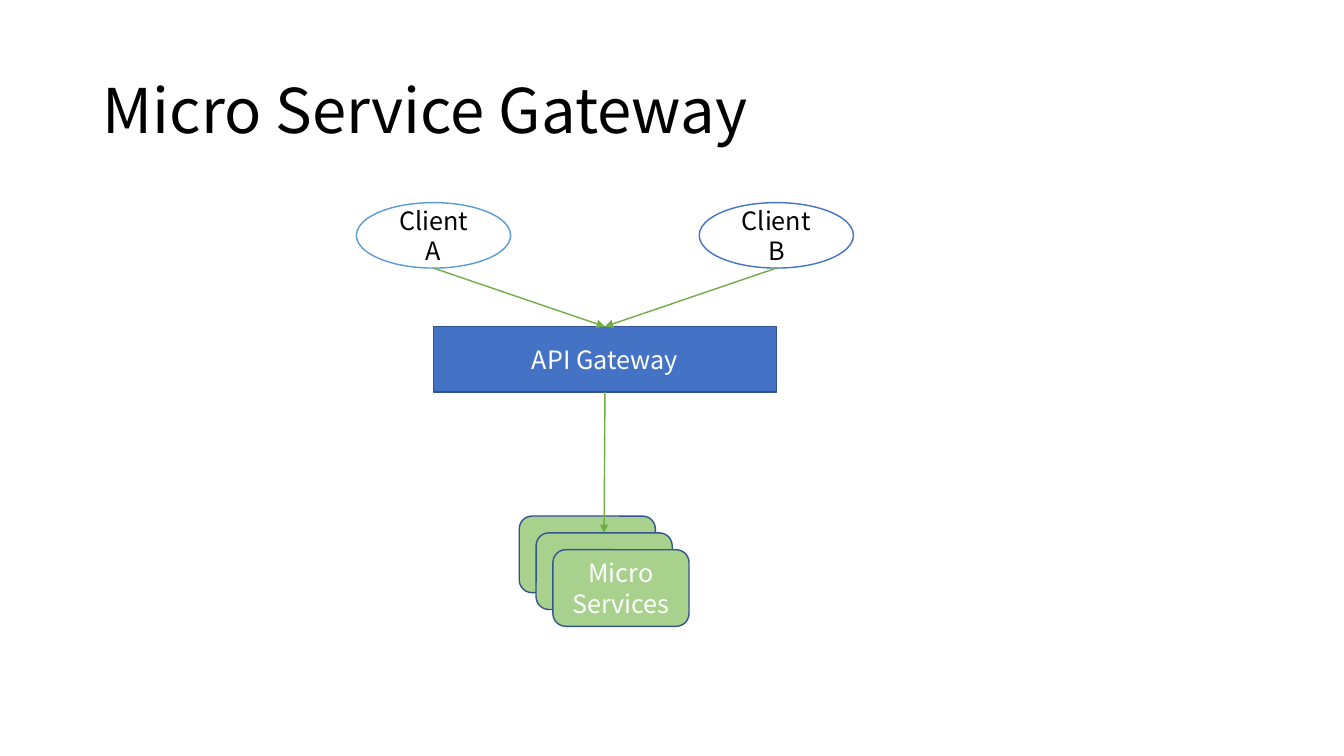
import pptx
import pptx.util
import pptx.dml.color
import pptx.enum.shapes
import pptx.enum.text
import pptx.oxml
import pptx.oxml.ns

SHAPES = pptx.enum.shapes.MSO_SHAPE
FONT = "Noto Sans CJK SC"
WIDTH, HEIGHT = 13.33, 7.5

TITLE = "Micro Service Gateway"
CLIENTS = [("Client A", "5B9BD5"), ("Client B", "4472C4")]
GATEWAY = "API Gateway"
SERVICES = ["", "", "Micro Services"]  # from back to front

BLACK, WHITE = "000000", "FFFFFF"
BLUE, DARK_BLUE = "4472C4", "325491"
GREEN, LIGHT_GREEN = "70AD47", "A9D18E"

# Inches: the diagram is centred on one axis, each row has its own top.
AXIS = 6.0
ROW_HEIGHT = 0.65
CLIENT_TOP, GATEWAY_TOP, SERVICE_TOP = 2.01, 3.24, 5.12
CLIENT_WIDTH, GATEWAY_WIDTH = 1.53, 3.4
SERVICE_WIDTH, SERVICE_HEIGHT = 1.35, 0.76
SERVICE_LEFT, SERVICE_STEP = 5.15, 0.167

presentation = pptx.Presentation()
presentation.slide_width = pptx.util.Inches(WIDTH)
presentation.slide_height = pptx.util.Inches(HEIGHT)
slide = presentation.slides.add_slide(presentation.slide_layouts[6])


def inches(*lengths):
    return [pptx.util.Inches(length) for length in lengths]


def color(hex_code):
    return pptx.dml.color.RGBColor.from_string(hex_code)


def write(shape, text, size, font_color, alignment):
    frame = shape.text_frame
    frame.word_wrap = True
    frame.vertical_anchor = pptx.enum.text.MSO_ANCHOR.MIDDLE
    paragraph = frame.paragraphs[0]
    paragraph.text = text
    paragraph.alignment = alignment
    paragraph.font.name = FONT
    paragraph.font.size = pptx.util.Pt(size)
    paragraph.font.color.rgb = color(font_color)
    return paragraph


def add_box(kind, box, text, fill, line, font_color):
    shape = slide.shapes.add_shape(kind, *inches(*box))
    shape.shadow.inherit = False
    shape.fill.solid()
    shape.fill.fore_color.rgb = color(fill)
    shape.line.color.rgb = color(line)
    shape.line.width = pptx.util.Pt(1)
    if text:
        write(shape, text, 18, font_color, pptx.enum.text.PP_ALIGN.CENTER)


def add_arrow(start, end):
    arrow = slide.shapes.add_connector(
        pptx.enum.shapes.MSO_CONNECTOR.STRAIGHT, *inches(*start, *end))
    arrow.line.color.rgb = color(GREEN)
    arrow.line.width = pptx.util.Pt(1)
    namespace = pptx.oxml.ns.nsdecls("a")
    arrow.line._get_or_add_ln().append(
        pptx.oxml.parse_xml(f'<a:tailEnd {namespace} type="triangle"/>'))
    arrow._element.spPr.append(pptx.oxml.parse_xml(f"<a:effectLst {namespace}/>"))


title_box = slide.shapes.add_textbox(*inches(0.92, 0.4, 11.5, 1.45))
title = write(title_box, TITLE, 44, BLACK, pptx.enum.text.PP_ALIGN.LEFT)
title.line_spacing = 0.9

# Each client is centred over one end of the gateway.
gateway_left = AXIS - GATEWAY_WIDTH / 2
client_centers = [gateway_left + index * GATEWAY_WIDTH for index in range(len(CLIENTS))]
for center, (name, outline) in zip(client_centers, CLIENTS):
    add_box(SHAPES.OVAL, (center - CLIENT_WIDTH / 2, CLIENT_TOP, CLIENT_WIDTH, ROW_HEIGHT),
            name, WHITE, outline, BLACK)

add_box(SHAPES.RECTANGLE, (gateway_left, GATEWAY_TOP, GATEWAY_WIDTH, ROW_HEIGHT),
        GATEWAY, BLUE, DARK_BLUE, WHITE)
for center in client_centers:
    add_arrow((center, CLIENT_TOP + ROW_HEIGHT), (AXIS, GATEWAY_TOP))

for index, name in enumerate(SERVICES):
    offset = index * SERVICE_STEP
    add_box(SHAPES.ROUNDED_RECTANGLE,
            (SERVICE_LEFT + offset, SERVICE_TOP + offset, SERVICE_WIDTH, SERVICE_HEIGHT),
            name, LIGHT_GREEN, DARK_BLUE, WHITE)

# The gateway calls the middle service of the stack.
add_arrow((AXIS, GATEWAY_TOP + ROW_HEIGHT),
          (SERVICE_LEFT + SERVICE_STEP + SERVICE_WIDTH / 2, SERVICE_TOP + SERVICE_STEP))

presentation.save("out.pptx")
